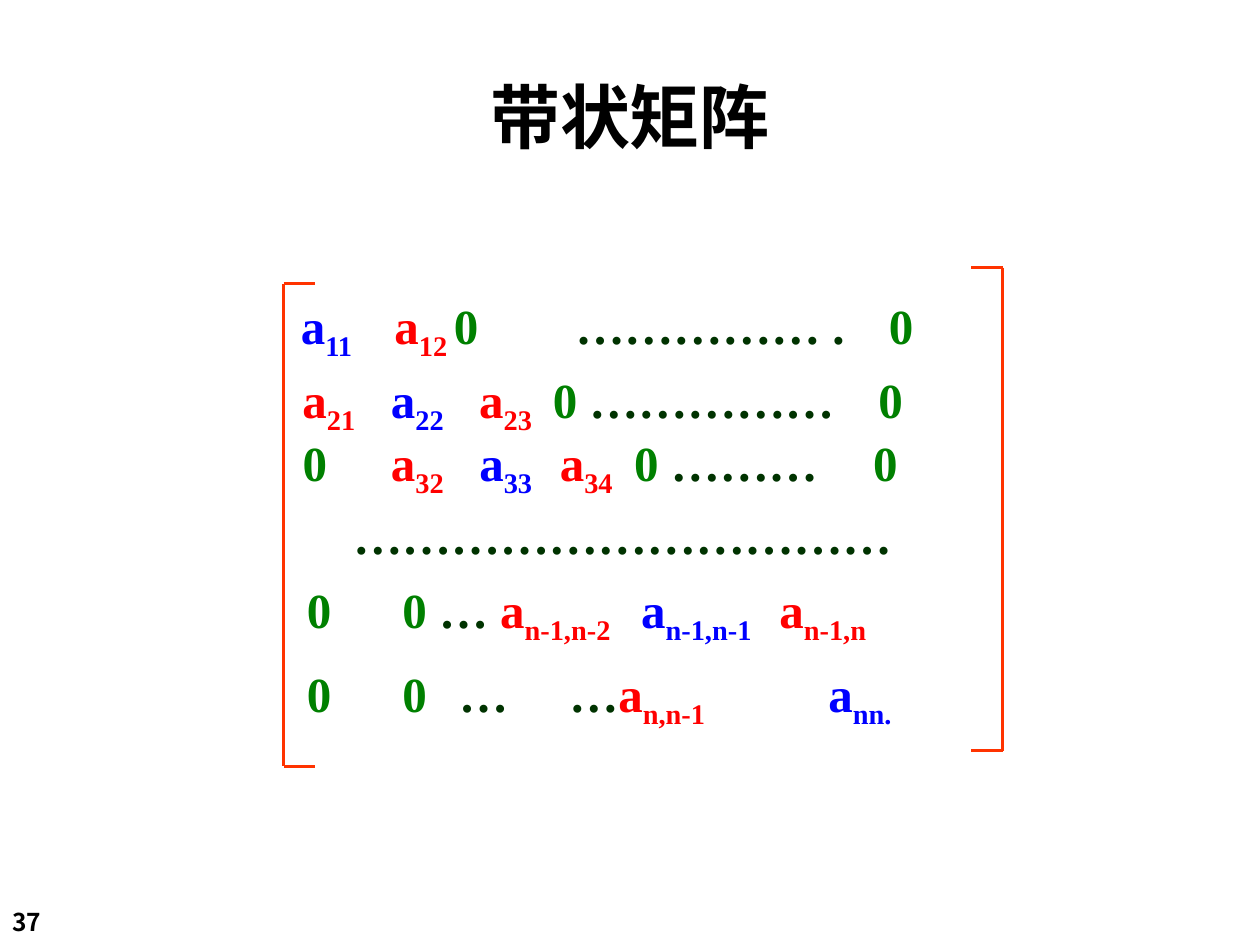
from dataclasses import dataclass

from lxml.etree import SubElement
from pptx import Presentation
from pptx.dml.color import RGBColor
from pptx.enum.shapes import MSO_CONNECTOR
from pptx.enum.text import MSO_ANCHOR, PP_ALIGN
from pptx.oxml.ns import qn
from pptx.util import Pt


@dataclass(frozen=True)
class Theme:
    text: RGBColor = RGBColor(0x00, 0x00, 0x00)
    diagonal: RGBColor = RGBColor(0x00, 0x00, 0xFF)
    band: RGBColor = RGBColor(0xFF, 0x00, 0x00)
    zero: RGBColor = RGBColor(0x00, 0x80, 0x00)
    dots: RGBColor = RGBColor(0x00, 0x33, 0x00)
    bracket: RGBColor = RGBColor(0xFF, 0x33, 0x00)
    heading_font: str = "Noto Sans CJK SC"
    matrix_font: str = "Times New Roman"
    title_size: int = 40
    matrix_size: int = 28
    number_size: int = 14


theme = Theme()
INSET = 7.2

prs = Presentation()
prs.slide_width, prs.slide_height = Pt(720), Pt(540)
s = prs.slides.add_slide(prs.slide_layouts[6])


def add_text_box(left, top, width, height, margin_top):
    tf = s.shapes.add_textbox(Pt(left), Pt(top), Pt(width), Pt(height)).text_frame
    tf.word_wrap = True
    tf.margin_top = Pt(margin_top)
    return tf


def set_font(font, name, size):
    """Set a bold font for Latin and East Asian text alike."""
    font.name, font.size, font.bold = name, Pt(size), True
    SubElement(font._element, qn("a:ea"), typeface=name)


# Slide number and title
for text, box, size, align, anchor in [
    ("37", (0, 516.24, 60, 24.5, 2), theme.number_size, PP_ALIGN.LEFT, MSO_ANCHOR.TOP),
    ("带状矩阵", (30, 30, 660, 72, 3.6), theme.title_size, PP_ALIGN.CENTER, MSO_ANCHOR.MIDDLE),
]:
    tf = add_text_box(*box)
    tf.vertical_anchor = anchor
    p = tf.paragraphs[0]
    p.alignment = align
    r = p.add_run()
    r.text = text
    p.font.color.rgb = theme.text
    set_font(p.font, theme.heading_font, size)

# Matrix rows: box, then entries as (x on the slide, colour, text, subscript);
# an entry without x follows the one before it directly
diagonal, band, zero, dots = theme.diagonal, theme.band, theme.zero, theme.dots
rows = [
    ((96, 162, 630, 45), [
        (172, diagonal, "a", "11"), (225.5, band, "a", "12"), (259.5, zero, "0", ""),
        (329, dots, "…………… .", ""), (508, zero, "0", "")]),
    ((96, 204, 612, 45), [
        (173, band, "a", "21"), (223.5, diagonal, "a", "22"), (274, band, "a", "23"),
        (316, zero, "0 ", ""), (None, dots, "……………", ""), (502, zero, "0", "")]),
    ((108, 240, 594, 45), [
        (173, zero, "0", ""), (223.5, band, "a", "32"), (274, diagonal, "a", "33"),
        (320, band, "a", "34"), (362.5, zero, "0 ", ""), (None, dots, "………", ""),
        (499, zero, "0", "")]),
    ((102, 282, 453, 41), [(202, dots, "……………………………", "")]),
    ((162, 324, 588, 45), [
        (175.5, zero, "0", ""), (230, zero, "0 ", ""), (None, dots, "… ", ""),
        (None, band, "a", "n-1,n-2"), (366.5, diagonal, "a", "n-1,n-1"),
        (445.5, band, "a", "n-1,n")]),
    ((162, 372, 564, 45), [
        (175.5, zero, "0", ""), (230, zero, "0", ""), (262.5, dots, "…", ""),
        (325.5, dots, "…", ""), (None, band, "a", "n,n-1"),
        (473.5, diagonal, "a", "nn.")]),
]
for box, entries in rows:
    p = add_text_box(*box, 7).paragraphs[0]
    tabs = SubElement(p._p.get_or_add_pPr(), qn("a:tabLst"))
    for x, color, text, subscript in entries:
        if x is not None:
            position = Pt(x - box[0] - INSET)
            SubElement(tabs, qn("a:tab"), pos=str(position), algn="l")
            text = "\t" + text
        r = p.add_run()
        r.text = text
        r.font.color.rgb = color
        if subscript:
            r = p.add_run()
            r.text = subscript
            r.font.color.rgb = color
            r.font._element.set("baseline", "-25000")
    set_font(p.font, theme.matrix_font, theme.matrix_size)

# Square brackets: a vertical side with a tick at each end
for side_x, tick_x, top in [(162, 180, 162), (573, 555, 153)]:
    bottom = top + 276
    for x1, y1, x2, y2 in [
        (side_x, top, side_x, bottom),
        (side_x, top, tick_x, top),
        (side_x, bottom, tick_x, bottom),
    ]:
        line = s.shapes.add_connector(
            MSO_CONNECTOR.STRAIGHT, Pt(x1), Pt(y1), Pt(x2), Pt(y2))
        line.line.color.rgb = theme.bracket
        line.line.width = Pt(1.5)
        SubElement(line._element.spPr, qn("a:effectLst"))

prs.save("out.pptx")
